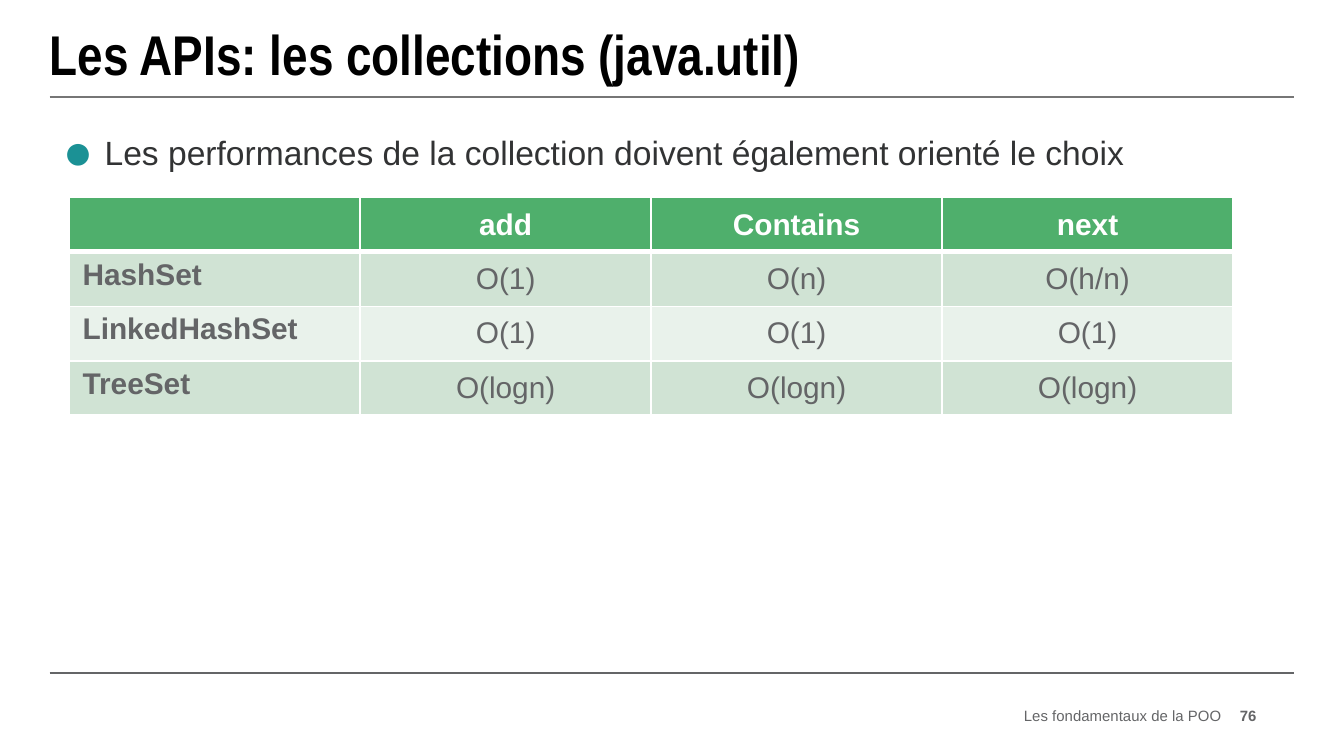
from lxml.etree import SubElement
from pptx import Presentation
from pptx.dml.color import RGBColor
from pptx.enum.shapes import MSO_CONNECTOR
from pptx.enum.text import MSO_ANCHOR, PP_ALIGN
from pptx.oxml.ns import qn
from pptx.util import Emu, Pt

SCALE = 4572  # EMU per px, 200 px to the inch
GREY = "646567"
WHITE = "FFFFFF"
GREEN = "4FAF6C"
BANDS = ("D0E3D4", "E9F2EB")

HEAD = ("", "add", "Contains", "next")
ROWS = (
    ("HashSet", "O(1)", "O(n)", "O(h/n)"),
    ("LinkedHashSet", "O(1)", "O(1)", "O(1)"),
    ("TreeSet", "O(logn)", "O(logn)", "O(logn)"),
)


def px(n):
    return Emu(n * SCALE)


def color(code):
    return RGBColor.from_string(code)


def write(frame, text, size=16, font="Arial", ink=GREY, bold=False,
          align=PP_ALIGN.LEFT):
    para = frame.paragraphs[0]
    para.alignment = align
    run = para.add_run()
    run.text = text
    run.font.size = Pt(size)
    run.font.name = font
    run.font.bold = bold
    run.font.color.rgb = color(ink)
    return para


def add_text(slide, box, text, inset=0, wrap=True, anchor=MSO_ANCHOR.MIDDLE,
             **style):
    frame = slide.shapes.add_textbox(*map(px, box)).text_frame
    frame.word_wrap = wrap
    frame.vertical_anchor = anchor
    frame.margin_left = frame.margin_right = px(inset)
    frame.margin_top = frame.margin_bottom = px(inset // 2)
    return write(frame, text, **style)


def add_bullet(para, ink, percent, indent):
    para.space_before = Pt(2)
    props = para._p.get_or_add_pPr()
    props.set("marL", str(px(indent)))
    props.set("indent", str(px(-indent)))
    SubElement(SubElement(props, qn("a:buClr")), qn("a:srgbClr"), val=ink)
    SubElement(props, qn("a:buSzPct"), val=str(percent * 1000))
    SubElement(props, qn("a:buFont"), typeface="Arial")
    SubElement(props, qn("a:buChar"), char="●")


def add_rule(slide, y, ink):
    line = slide.shapes.add_connector(
        MSO_CONNECTOR.STRAIGHT, px(74), px(y), px(1926), px(y))
    line.line.color.rgb = color(ink)
    line.line.width = Pt(1)
    SubElement(line._element.spPr, qn("a:effectLst"))


def add_border(cell, side, width):
    line = SubElement(cell._tc.get_or_add_tcPr(), qn("a:ln" + side),
                      w=str(Pt(width)))
    fill = SubElement(line, qn("a:solidFill"))
    SubElement(fill, qn("a:srgbClr"), val=WHITE)


def fill_cell(cell, text, row, col):
    # Borders come before the fill; the header has a thick lower edge
    for side in "LRTB":
        thick = (row, side) in ((0, "B"), (1, "T"))
        add_border(cell, side, 3 if thick else 1)
    cell.fill.solid()
    cell.fill.fore_color.rgb = color(BANDS[(row - 1) % 2] if row else GREEN)
    label = row > 0 and col == 0
    cell.vertical_anchor = MSO_ANCHOR.TOP if label else MSO_ANCHOR.MIDDLE
    if text:
        write(cell.text_frame, text, ink=GREY if row else WHITE,
              bold=row == 0 or label,
              align=PP_ALIGN.LEFT if label else PP_ALIGN.CENTER)


def add_grid(slide, left, top, wide, high):
    data = (HEAD,) + ROWS
    table = slide.shapes.add_table(
        len(data), len(HEAD), px(left), px(top),
        px(wide * len(HEAD)), px(high * len(data))).table
    for col in table.columns:
        col.width = px(wide)
    for r, values in enumerate(data):
        table.rows[r].height = px(high)
        for c, text in enumerate(values):
            fill_cell(table.cell(r, c), text, r, c)


def main():
    deck = Presentation()
    deck.slide_width, deck.slide_height = px(2000), px(1125)
    slide = deck.slides.add_slide(deck.slide_layouts[6])

    # Rules above and below the content
    add_rule(slide, 1002, GREY)
    add_rule(slide, 144, "767676")

    # Main point and title
    point = add_text(
        slide, (74, 186, 1850, 784),
        "Les performances de la collection doivent également orienté le choix",
        inset=20, anchor=MSO_ANCHOR.TOP, size=18, ink="323334")
    add_bullet(point, "1B9195", 150, 62)
    add_text(slide, (74, 18, 1850, 122), "Les APIs: les collections (java.util)",
             size=30, font="Arial Narrow", ink="000000", bold=True)

    # Footer and page number
    add_text(slide, (1378, 1050, 440, 30), "Les fondamentaux de la POO",
             wrap=False, size=8, align=PP_ALIGN.RIGHT)
    add_text(slide, (1830, 1050, 40, 30), "76",
             wrap=False, size=8, bold=True, align=PP_ALIGN.RIGHT)

    # Cost of each operation
    add_grid(slide, 103, 294, 433, 81)
    deck.save("out.pptx")


if __name__ == "__main__":
    main()
